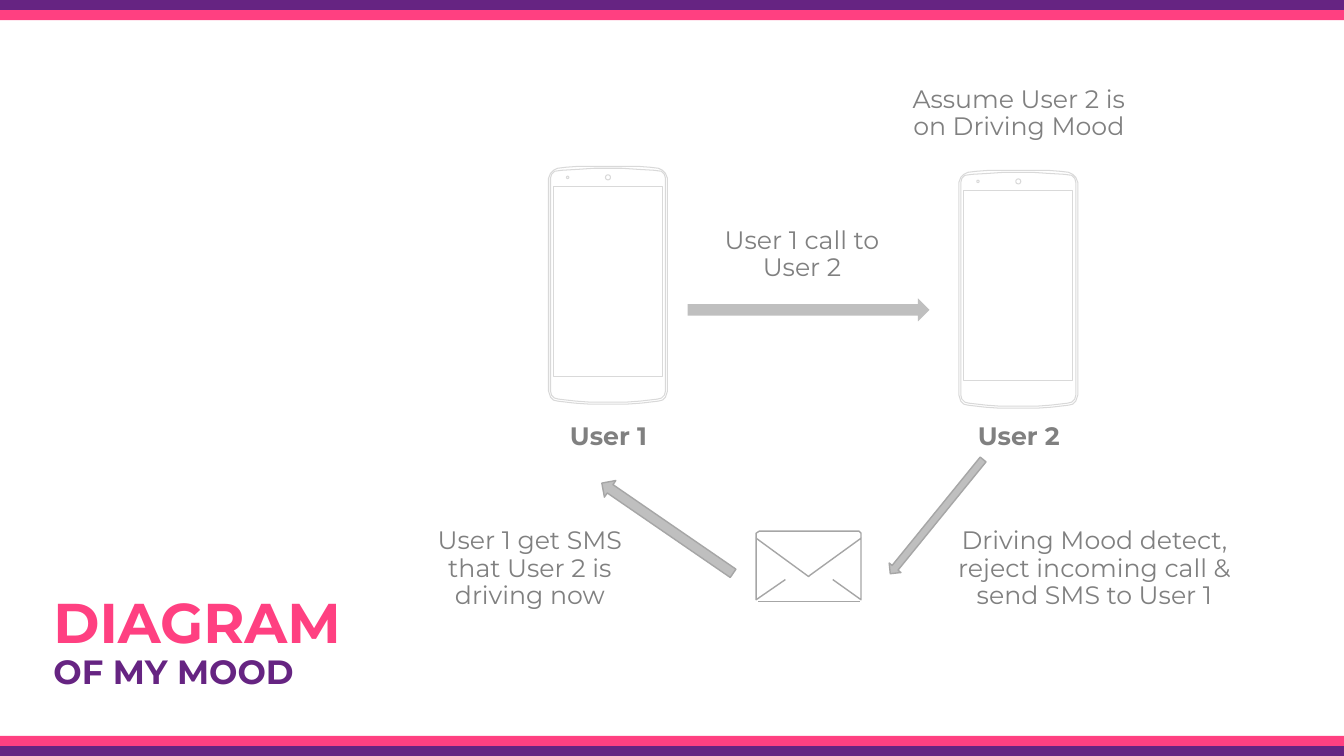
import math
from dataclasses import dataclass

import pptx
import pptx.dml.color
import pptx.enum.shapes
import pptx.enum.text
import pptx.util

Inches = pptx.util.Inches
Shapes = pptx.enum.shapes.MSO_SHAPE
Align = pptx.enum.text.PP_ALIGN
Anchor = pptx.enum.text.MSO_ANCHOR


@dataclass(frozen=True)
class Theme:
    font: str = "Montserrat"
    purple: str = "662482"
    pink: str = "FF4081"
    text: str = "808080"
    arrow: str = "BFBFBF"
    edge: str = "A6A6A6"
    phone_edge: str = "D9D9D9"
    white: str = "FFFFFF"
    title_size: int = 40
    subtitle_size: int = 24
    label_size: int = 18


theme = Theme()


def write_text(frame, text, size=theme.label_size, color=theme.text, bold=False,
               align=Align.CENTER, anchor=Anchor.TOP):
    """Append each line of text to the frame as a formatted paragraph."""
    frame.word_wrap = True
    frame.auto_size = pptx.enum.text.MSO_AUTO_SIZE.NONE
    frame.vertical_anchor = anchor
    frame.margin_left = frame.margin_right = Inches(0.1)
    frame.margin_top = frame.margin_bottom = Inches(0.1)
    for line in text.split("\n"):
        paragraph = frame.add_paragraph() if frame.text else frame.paragraphs[0]
        paragraph.alignment = align
        paragraph.line_spacing = 0.9
        run = paragraph.add_run()
        run.text = line
        run.font.name = theme.font
        run.font.size = pptx.util.Pt(size)
        run.font.bold = bold
        run.font.color.rgb = pptx.dml.color.RGBColor.from_string(color)


def paint(shape, fill=None, line=None, width=1):
    shape.shadow.inherit = False
    if fill:
        shape.fill.solid()
        shape.fill.fore_color.rgb = pptx.dml.color.RGBColor.from_string(fill)
    else:
        shape.fill.background()
    if line:
        shape.line.color.rgb = pptx.dml.color.RGBColor.from_string(line)
        shape.line.width = pptx.util.Pt(width)
    else:
        shape.line.fill.background()


presentation = pptx.Presentation()
presentation.slide_width = Inches(13.33)
presentation.slide_height = Inches(7.5)
slide = presentation.slides.add_slide(presentation.slide_layouts[5])
shapes = slide.shapes

# Stripes along the top and bottom edges
for top, color in [(7.4, theme.purple), (7.3, theme.pink), (0, theme.purple), (0.1, theme.pink)]:
    stripe = shapes.add_shape(Shapes.RECTANGLE, 0, Inches(top), presentation.slide_width, Inches(0.1))
    paint(stripe, fill=color)

# Title
title = shapes.title
title.left, title.top = Inches(0.43), Inches(5.67)
title.width, title.height = Inches(4.14), Inches(1.29)
for text, size, color in [("DIAGRAM", theme.title_size, theme.pink),
                          ("OF MY MOOD", theme.subtitle_size, theme.purple)]:
    write_text(title.text_frame, text, size=size, color=color, bold=True,
               align=Align.LEFT, anchor=Anchor.BOTTOM)

# Phone contours, measured from the top centre of the phone
case_half = [(0, 0), (0.29, 0), (0.42, 0.01), (0.5, 0.02), (0.54, 0.04), (0.57, 0.07),
             (0.59, 0.12), (0.59, 2.23), (0.57, 2.29), (0.54, 2.32), (0.5, 2.33),
             (0.33, 2.35), (0.18, 2.36), (0, 2.36)]
rim_half = [(0, 0.02), (0.14, 0.02), (0.29, 0.03), (0.46, 0.04), (0.53, 0.05), (0.56, 0.08),
            (0.57, 0.12), (0.57, 2.23), (0.56, 2.27), (0.53, 2.3), (0.49, 2.31),
            (0.32, 2.33), (0.18, 2.34), (0, 2.34)]
screen_half = [(0.54, 0.2), (0.54, 2.09)]
phone_contours = [half + [(-x, y) for x, y in reversed(half)]
                  for half in (case_half, rim_half, screen_half)]
for center, radius in [(0, 0.025), (-0.4, 0.012)]:
    angles = [math.radians(step * 30) for step in range(12)]
    phone_contours.append([(center + radius * math.cos(angle), 0.11 + radius * math.sin(angle))
                           for angle in angles])

# Envelope strokes: top edge, body with flap and folds, bottom edge
envelope_strokes = [
    [(8.54, 5.34), (8.54, 5.29), (8.52, 5.27), (7.53, 5.27), (7.5, 5.29), (7.5, 5.34)],
    [(8.26, 5.75), (8.54, 5.95), (8.54, 5.34), (8.03, 5.71), (8.02, 5.72),
     (7.5, 5.34), (7.5, 5.95), (7.79, 5.75)],
    [(7.52, 5.97), (8.53, 5.97)],
]

drawings = [
    ([[(center + x, top + y) for x, y in contour] for contour in phone_contours],
     True, dict(fill=theme.white, line=theme.phone_edge, width=0.75))
    for center, top in [(6.03, 1.65), (10.1, 1.69)]
]
drawings.append((envelope_strokes, False, dict(line=theme.edge)))
for contours, closed, style in drawings:
    builder = None
    for contour in contours:
        points = [(Inches(x), Inches(y)) for x, y in contour]
        if builder is None:
            builder = shapes.build_freeform(*points[0])
        else:
            builder.move_to(*points[0])
        builder.add_line_segments(points[1:], close=closed)
    paint(builder.convert_to_shape(), **style)

# Arrows: left, top, width, height, rotation, outline
for left, top, width, height, rotation, outline in [
    (6.82, 2.96, 2.4, 0.23, 0, None),
    (8.56, 5.05, 1.46, 0.15, 129.1, theme.edge),
    (5.83, 5.14, 1.58, 0.2, 214.5, theme.edge),
]:
    arrow = shapes.add_shape(Shapes.RIGHT_ARROW, Inches(left), Inches(top), Inches(width), Inches(height))
    arrow.rotation = rotation
    paint(arrow, fill=theme.arrow, line=outline)

# Labels
user_name = dict(bold=True, anchor=Anchor.BOTTOM)
for left, top, width, height, text, style in [
    (5.37, 4.01, 1.33, 0.56, "User 1", user_name),
    (9.44, 4.01, 1.33, 0.56, "User 2", user_name),
    (6.7, 2.16, 2.51, 0.8, "User 1 call to\nUser 2", {}),
    (8.85, 0.76, 2.51, 0.8, "Assume User 2 is on Driving Mood", {}),
    (9.2, 5.14, 3.31, 0.8, "Driving Mood detect, reject incoming call & send SMS to User 1", {}),
    (4, 5.14, 2.51, 0.8, "User 1 get SMS that User 2 is driving now", {}),
]:
    label = shapes.add_textbox(Inches(left), Inches(top), Inches(width), Inches(height))
    write_text(label.text_frame, text, **style)

presentation.save("out.pptx")
